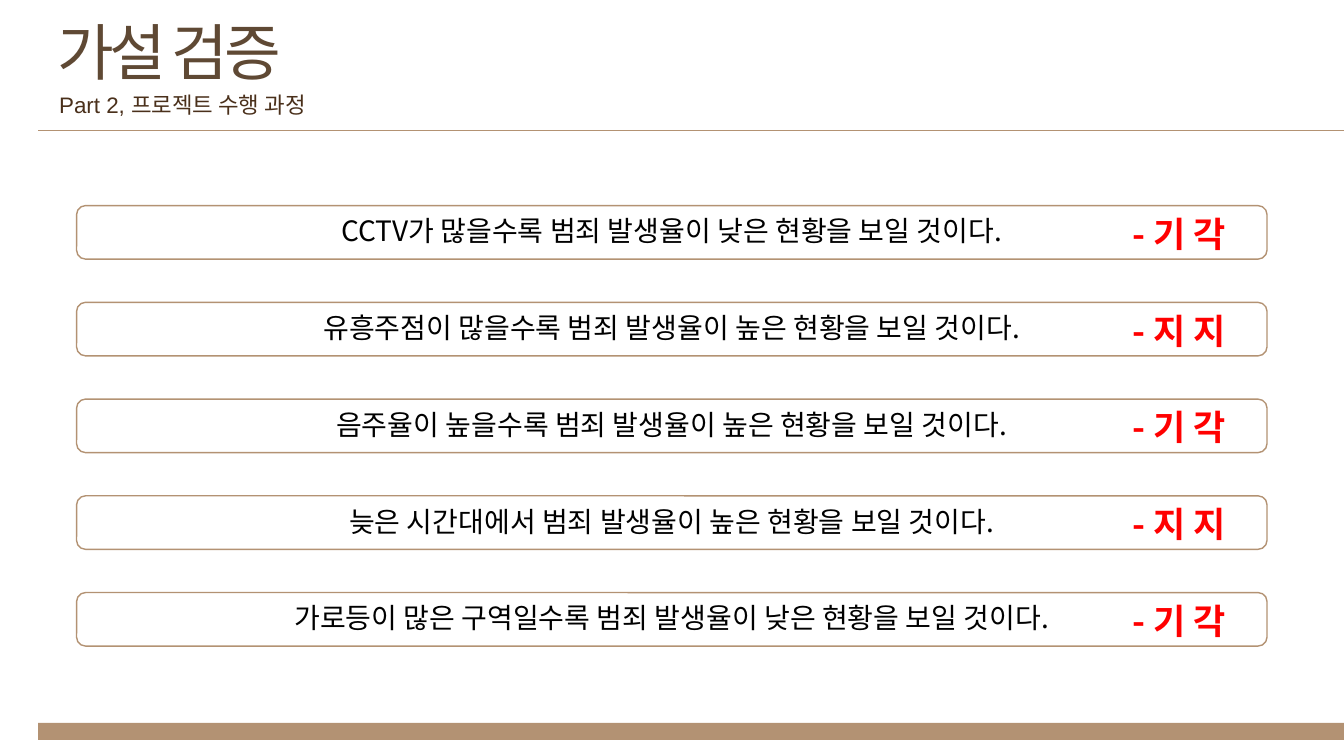
import pptx
import pptx.dml.color
import pptx.enum.shapes
import pptx.enum.text
import pptx.oxml.ns
import pptx.util
from lxml import etree

Pt = pptx.util.Pt
qn = pptx.oxml.ns.qn
SHAPES = pptx.enum.shapes.MSO_SHAPE
ALIGN = pptx.enum.text.PP_ALIGN
ANCHOR = pptx.enum.text.MSO_ANCHOR

KOREAN_FONT = "Noto Sans CJK KR"
TAN = "B39273"
REJECTED = "- 기 각"
SUPPORTED = "- 지 지"
HYPOTHESES = [
    ("CCTV가 많을수록 범죄 발생율이 낮은 현황을 보일 것이다.", REJECTED),
    ("유흥주점이 많을수록 범죄 발생율이 높은 현황을 보일 것이다.", SUPPORTED),
    ("음주율이 높을수록 범죄 발생율이 높은 현황을 보일 것이다.", REJECTED),
    ("늦은 시간대에서 범죄 발생율이 높은 현황을 보일 것이다.", SUPPORTED),
    ("가로등이 많은 구역일수록 범죄 발생율이 낮은 현황을 보일 것이다.", REJECTED),
]
ROW_TOP = 146.9
ROW_PITCH = 69.1


def color(value):
    return pptx.dml.color.RGBColor.from_string(value)


def write_text(shape, text, size, fill, font=KOREAN_FONT, bold=False, align=ALIGN.LEFT,
               anchor=ANCHOR.TOP, inset=None, line_spacing=None, tracking=None):
    frame = shape.text_frame
    frame.word_wrap = True
    frame.auto_size = pptx.enum.text.MSO_AUTO_SIZE.NONE
    frame.vertical_anchor = anchor
    if inset is not None:
        frame.margin_left = frame.margin_right = Pt(inset)
        frame.margin_top = frame.margin_bottom = Pt(inset)
    paragraph = frame.paragraphs[0]
    paragraph.alignment = align
    if line_spacing:
        paragraph.line_spacing = line_spacing
    run = paragraph.add_run()
    run.text = text
    run.font.size = Pt(size)
    run.font.bold = bold
    run.font.name = font
    run.font.color.rgb = color(fill)
    # Hangul uses the East Asian font slot
    properties = run.font._element
    east_asian = etree.SubElement(properties, qn("a:ea"))
    east_asian.set("typeface", KOREAN_FONT)
    if tracking:
        properties.set("spc", str(tracking * 100))


def add_text(slide, box, text, **text_format):
    shape = slide.shapes.add_textbox(*map(Pt, box))
    write_text(shape, text, **text_format)


def add_title(slide, box, text, **text_format):
    title = slide.shapes.title
    title.left, title.top, title.width, title.height = map(Pt, box)
    write_text(title, text, **text_format)


def add_panel(slide, kind, box, fill, line=None, opacity=None):
    shape = slide.shapes.add_shape(kind, *map(Pt, box))
    shape.shadow.inherit = False
    shape.fill.solid()
    shape.fill.fore_color.rgb = color(fill)
    if opacity:
        fill_color = shape._element.spPr.find(qn("a:solidFill"))[0]
        etree.SubElement(fill_color, qn("a:alpha")).set("val", str(opacity * 1000))
    if line:
        shape.line.color.rgb = color(line)
        shape.line.width = Pt(1)
    else:
        shape.line.fill.background()


def add_rule(slide, left, right, top):
    rule = slide.shapes.add_connector(pptx.enum.shapes.MSO_CONNECTOR.STRAIGHT,
                                      Pt(left), Pt(top), Pt(right), Pt(top))
    rule.line.color.rgb = color(TAN)
    rule.line.width = Pt(0.5)
    etree.SubElement(rule._element.spPr, qn("a:effectLst"))


def add_hypothesis(slide, top, statement, verdict):
    add_panel(slide, SHAPES.ROUNDED_RECTANGLE, (54.7, top, 850.3, 38.2),
              "FFFFFF", line=TAN, opacity=90)
    add_text(slide, (69.8, top + 2, 820.1, 34.6), statement, size=20, fill="000000",
             align=ALIGN.CENTER, anchor=ANCHOR.MIDDLE, inset=9.4, line_spacing=0.9)
    add_text(slide, (802.1, top + 1.2, 118.1, 37.4), verdict, size=25, fill="FF0000",
             bold=True)


def main():
    presentation = pptx.Presentation()
    presentation.slide_width = Pt(960)
    presentation.slide_height = Pt(540)
    slide = presentation.slides.add_slide(presentation.slide_layouts[5])

    # Footer band and header
    add_panel(slide, SHAPES.RECTANGLE, (27.2, 516.4, 932.8, 12.2), TAN)
    add_rule(slide, 27.2, 960, 92.9)
    add_title(slide, (33.8, 6.5, 189.4, 60.5), "가설 검증", size=44, fill="5F4934",
              font="Arial", tracking=-3)
    add_text(slide, (35.2, 61.9, 205.2, 26.6), "Part 2, 프로젝트 수행 과정", size=16,
             fill="4A301B", font="Arial")

    # Hypotheses with their verdicts
    for index, (statement, verdict) in enumerate(HYPOTHESES):
        add_hypothesis(slide, ROW_TOP + index * ROW_PITCH, statement, verdict)

    presentation.save("out.pptx")


if __name__ == "__main__":
    main()
